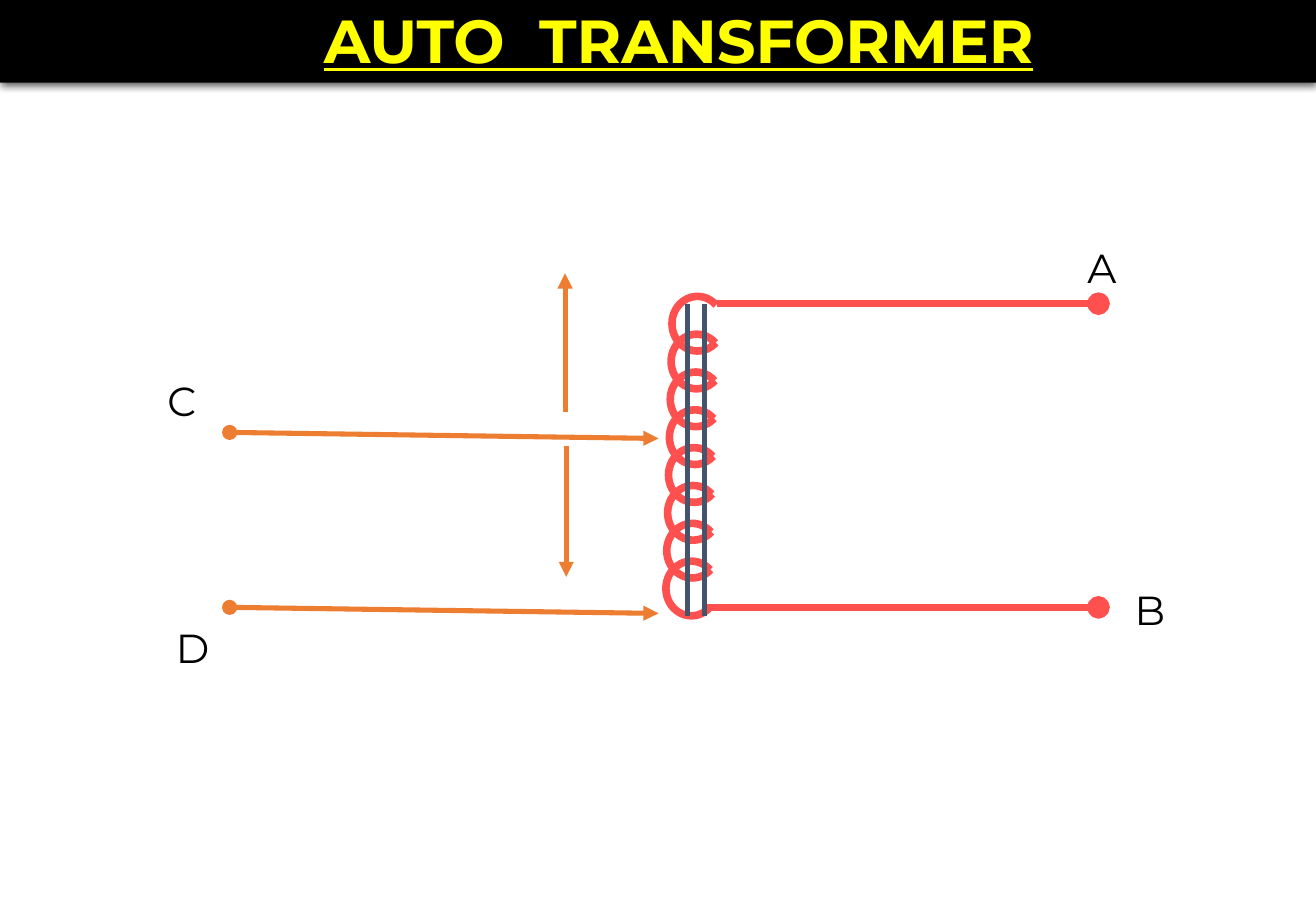
from lxml import etree
from pptx import Presentation
from pptx.dml.color import RGBColor
from pptx.enum.shapes import MSO_CONNECTOR, MSO_SHAPE
from pptx.enum.text import MSO_ANCHOR, MSO_AUTO_SIZE, PP_ALIGN
from pptx.oxml import parse_xml
from pptx.oxml.ns import qn
from pptx.util import Inches, Pt

STRAIGHT = MSO_CONNECTOR.STRAIGHT
ARC = MSO_SHAPE.ARC
MIDDLE, TOP = MSO_ANCHOR.MIDDLE, MSO_ANCHOR.TOP
CENTER, LEFT = PP_ALIGN.CENTER, PP_ALIGN.LEFT
NO_FIT = MSO_AUTO_SIZE.NONE

BLACK = RGBColor(0x00, 0x00, 0x00)
YELLOW = RGBColor(0xFF, 0xFF, 0x00)
RED = RGBColor(0xFF, 0x50, 0x50)
ORANGE = RGBColor(0xED, 0x7D, 0x31)
SLATE = RGBColor(0x44, 0x54, 0x6A)
FONT = "Montserrat"

# Content
TITLE = "AUTO  TRANSFORMER"
LABELS = [  # text, left, top
    ("A", 8.85, 1.95),
    ("C", 1.28, 3.05),
    ("B", 9.24, 4.77),
    ("D", 1.35, 5.08),
]
WIRES = [  # start, end, colour, points, start mark, end mark
    ((5.82, 5), (9.04, 5), RED, 4.5, None, "oval"),
    ((5.9, 2.5), (9.04, 2.5), RED, 4.5, None, "oval"),
    ((5.42, 5.05), (1.89, 5), ORANGE, 3, "triangle", "oval"),
    ((5.42, 3.61), (1.89, 3.56), ORANGE, 3, "triangle", "oval"),
    ((4.65, 2.25), (4.65, 3.39), ORANGE, 3, "triangle", None),
    ((4.66, 3.67), (4.66, 4.75), ORANGE, 3, None, "triangle"),
    ((5.66, 2.5), (5.66, 5.07), SLATE, 3, None, None),
    ((5.8, 2.5), (5.8, 5.07), SLATE, 3, None, None),
]
TURNS = 8
FIRST, LAST = (5.53, 2.44), (5.48, 4.62)  # corners of the end turns
TURN_W, TURN_H = 0.42, 0.45
GAP_FROM, GAP_TO = 46, 315  # degrees, clockwise from the right
ANGLE_UNIT = 0.6  # one degree as an adjustment value

SHADOW = (
    '<a:effectLst xmlns:a="http://schemas.openxmlformats.org/drawingml/2006/main">'
    '<a:outerShdw blurRad="57150" dist="19050" dir="5400000" algn="ctr" rotWithShape="0">'
    '<a:srgbClr val="000000"><a:alpha val="63000"/></a:srgbClr>'
    "</a:outerShdw></a:effectLst>"
)


def write(shape, text, size=24, color=BLACK, bold=False, under=False,
          align=LEFT, anchor=TOP, left=0.1):
    frame = shape.text_frame
    frame.word_wrap = True
    frame.auto_size = NO_FIT
    frame.vertical_anchor = anchor
    frame.margin_left, frame.margin_right = Inches(left), Inches(0.1)
    frame.margin_top = frame.margin_bottom = Inches(0.05)
    para = frame.paragraphs[0]
    para.alignment = align
    run = para.add_run()
    run.text = text
    font = run.font
    font.name, font.size, font.color.rgb = FONT, Pt(size), color
    font.bold, font.underline = bold, under


def add_turn(slide, x, y):
    turn = slide.shapes.add_shape(
        ARC, Inches(x), Inches(y), Inches(TURN_W), Inches(TURN_H))
    turn.adjustments[0] = GAP_FROM * ANGLE_UNIT
    turn.adjustments[1] = GAP_TO * ANGLE_UNIT
    turn.fill.background()
    turn.line.color.rgb = RED
    turn.line.width = Pt(4.5)
    turn.shadow.inherit = False


def add_wire(slide, start, end, color, width, head, tail):
    ends = [Inches(v) for v in start + end]
    wire = slide.shapes.add_connector(STRAIGHT, *ends)
    wire.line.color.rgb = color
    wire.line.width = Pt(width)
    props = wire._element.spPr
    for tag, mark in (("a:headEnd", head), ("a:tailEnd", tail)):
        if mark:
            etree.SubElement(props.ln, qn(tag), type=mark)
    etree.SubElement(props, qn("a:effectLst"))


def main():
    deck = Presentation()
    deck.slide_width, deck.slide_height = Inches(10.83), Inches(7.5)
    slide = deck.slides.add_slide(deck.slide_layouts[5])

    # Title bar
    bar = slide.shapes.title
    bar.left, bar.top = Inches(0), Inches(-0.03)
    bar.width, bar.height = deck.slide_width, Inches(0.71)
    bar.fill.solid()
    bar.fill.fore_color.rgb = BLACK
    bar._element.spPr.append(parse_xml(SHADOW))
    write(bar, TITLE, size=36, color=YELLOW, bold=True, under=True,
          align=CENTER, anchor=MIDDLE, left=0.44)

    # Coil
    for i in range(TURNS):
        x, y = (a + (b - a) * i / (TURNS - 1) for a, b in zip(FIRST, LAST))
        add_turn(slide, x, y)

    # Wires, arrows and core
    for wire in WIRES:
        add_wire(slide, *wire)

    # Terminal labels
    for text, x, y in LABELS:
        box = slide.shapes.add_textbox(
            Inches(x), Inches(y), Inches(0.5), Inches(0.5))
        write(box, text)

    deck.save("out.pptx")


if __name__ == "__main__":
    main()
